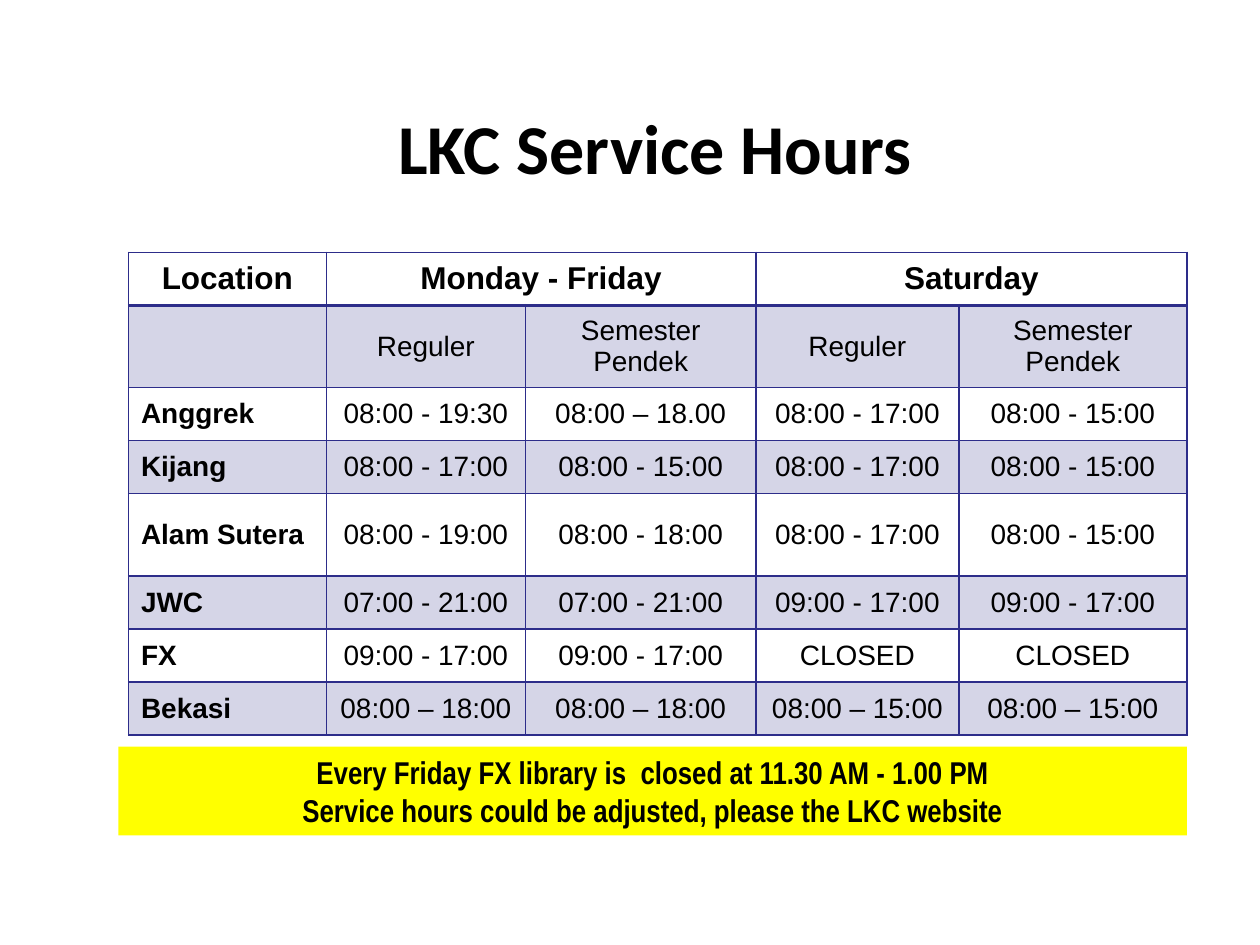
import pptx
import pptx.util
import pptx.dml.color
import pptx.enum.shapes
import pptx.enum.text
import pptx.oxml.ns
import lxml.etree

Pt = pptx.util.Pt
Inches = pptx.util.Inches
RGBColor = pptx.dml.color.RGBColor
ALIGN = pptx.enum.text.PP_ALIGN
ANCHOR = pptx.enum.text.MSO_ANCHOR
qn = pptx.oxml.ns.qn

BLACK = RGBColor(0x00, 0x00, 0x00)
YELLOW = RGBColor(0xFF, 0xFF, 0x00)
NAVY = RGBColor(0x2D, 0x2D, 0x8A)

WIDE, HIGH = Inches(10), Inches(7.5)
COLS = [1.57, 1.58, 1.83, 1.61, 1.81]
LOW, TALL = 0.42, 0.65
ROWS = [LOW, TALL, LOW, LOW, TALL, LOW, LOW, LOW]

HOURS = [
    ["Location", "Monday - Friday", "", "Saturday", ""],
    ["", "Reguler", "Semester Pendek", "Reguler", "Semester Pendek"],
    ["Anggrek", "08:00 - 19:30", "08:00 – 18.00", "08:00 - 17:00", "08:00 - 15:00"],
    ["Kijang", "08:00 - 17:00", "08:00 - 15:00", "08:00 - 17:00", "08:00 - 15:00"],
    ["Alam Sutera", "08:00 - 19:00", "08:00 - 18:00", "08:00 - 17:00", "08:00 - 15:00"],
    ["JWC", "07:00 - 21:00", "07:00 - 21:00", "09:00 - 17:00", "09:00 - 17:00"],
    ["FX", "09:00 - 17:00", "09:00 - 17:00", "CLOSED", "CLOSED"],
    ["Bekasi", "08:00 – 18:00", "08:00 – 18:00", "08:00 – 15:00", "08:00 – 15:00"],
]
NOTES = [
    "Every Friday FX library is  closed at 11.30 AM - 1.00 PM",
    "Service hours could be adjusted, please the LKC website",
]


def area(left, top, width, height):
    """Turn shares of the slide into a box of lengths."""
    return int(left * WIDE), int(top * HIGH), int(width * WIDE), int(height * HIGH)


def write(para, text, face, size, bold=True, align=ALIGN.CENTER):
    para.alignment = align
    run = para.add_run()
    run.text = text
    run.font.name = face
    run.font.size = Pt(size)
    run.font.bold = bold
    run.font.color.rgb = BLACK


def add_title(slide, box):
    frame = slide.shapes.add_textbox(*box).text_frame
    frame.word_wrap = True
    frame.vertical_anchor = ANCHOR.MIDDLE
    write(frame.paragraphs[0], "LKC Service Hours", "Calibri", 40)


def add_notes(slide, box):
    kind = pptx.enum.shapes.MSO_SHAPE.RECTANGLE
    shape = slide.shapes.add_shape(kind, *box)
    shape.shadow.inherit = False
    shape.fill.solid()
    shape.fill.fore_color.rgb = YELLOW
    shape.line.fill.background()
    frame = shape.text_frame
    frame.word_wrap = True
    frame.vertical_anchor = ANCHOR.TOP
    for i, text in enumerate(NOTES):
        para = frame.add_paragraph() if i else frame.paragraphs[0]
        write(para, text, "Arial Narrow", 18)


def add_edge(cell, side, width):
    props = cell._tc.get_or_add_tcPr()
    line = lxml.etree.SubElement(props, qn("a:ln" + side), w=str(Pt(width)))
    fill = lxml.etree.SubElement(line, qn("a:solidFill"))
    lxml.etree.SubElement(fill, qn("a:srgbClr"), val=str(NAVY))


def style(cell, row):
    """Draw the cell's edges, then tint every second row."""
    cell.vertical_anchor = ANCHOR.MIDDLE
    for side in "LRTB":
        thick = (row, side) in [(0, "B"), (1, "T")]
        add_edge(cell, side, 2 if thick else 1)
    if row % 2:
        cell.fill.solid()
        cell.fill.fore_color.rgb = NAVY
        color = cell._tc.tcPr.find(qn("a:solidFill"))[0]
        lxml.etree.SubElement(color, qn("a:alpha"), val="20000")
    else:
        cell.fill.background()


def add_hours(slide, box):
    table = slide.shapes.add_table(len(ROWS), len(COLS), *box).table
    table.first_row = table.horz_banding = False
    for col, part in zip(table.columns, COLS):
        col.width = int(box[2] * part / sum(COLS))
    for row, part in zip(table.rows, ROWS):
        row.height = int(box[3] * part / sum(ROWS))
    for c in (1, 3):
        table.cell(0, c).merge(table.cell(0, c + 1))
    for r, line in enumerate(HOURS):
        for c, text in enumerate(line):
            cell = table.cell(r, c)
            style(cell, r)
            if text:
                head, name = r == 0, r > 1 and c == 0
                write(cell.text_frame.paragraphs[0], text, "Arial",
                      18 if head else 16, head or name,
                      ALIGN.LEFT if name else ALIGN.CENTER)


def main():
    deck = pptx.Presentation()
    deck.slide_width, deck.slide_height = WIDE, HIGH
    slide = deck.slides.add_slide(deck.slide_layouts[6])
    add_title(slide, area(0.07, 0.12, 0.9, 0.07))
    add_notes(slide, area(0.094, 0.79, 0.848, 0.094))
    add_hours(slide, area(0.102, 0.267, 0.84, 0.511))
    deck.save("out.pptx")


if __name__ == "__main__":
    main()
